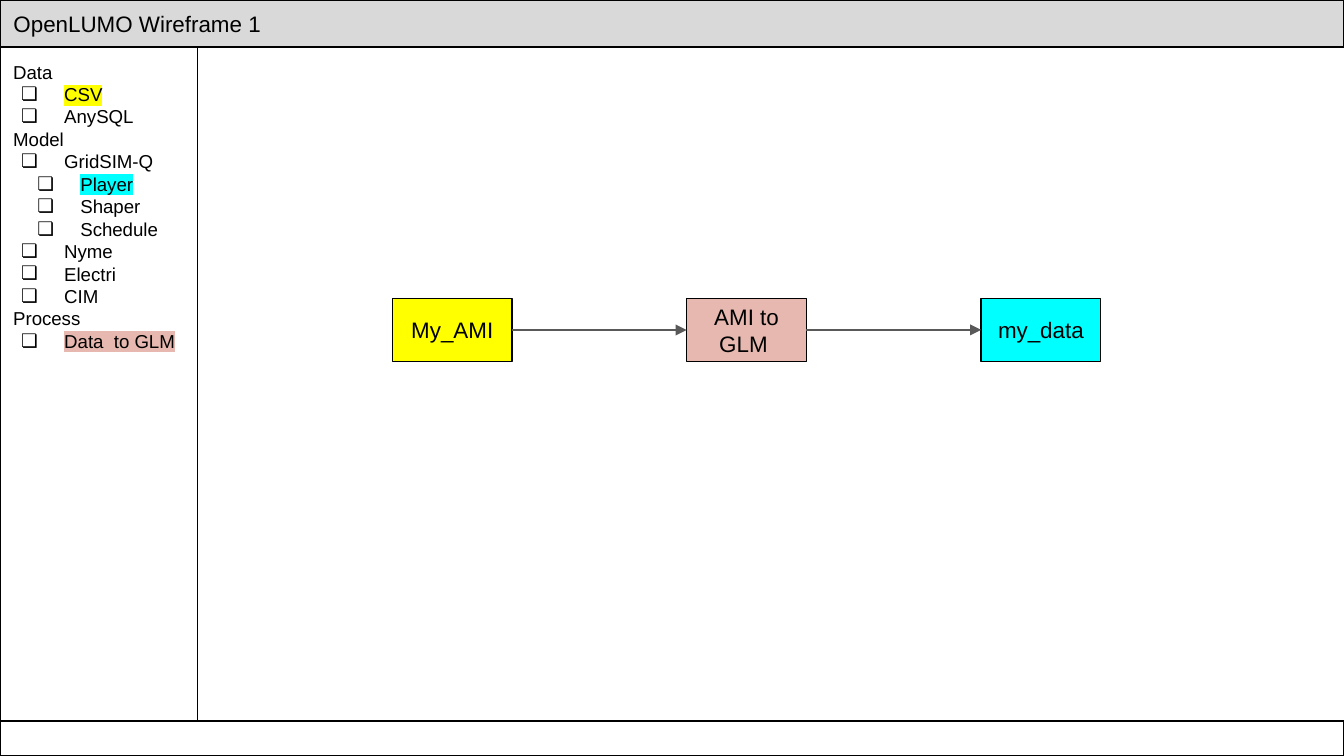
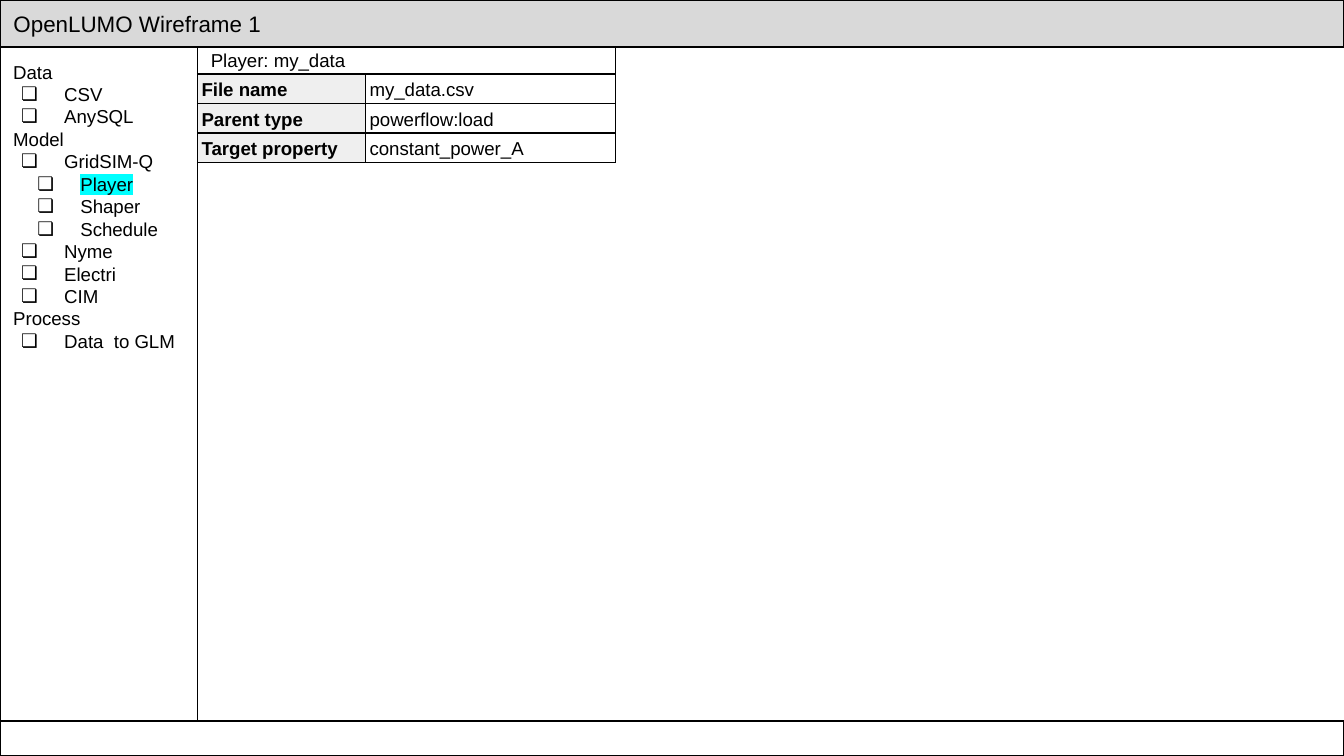
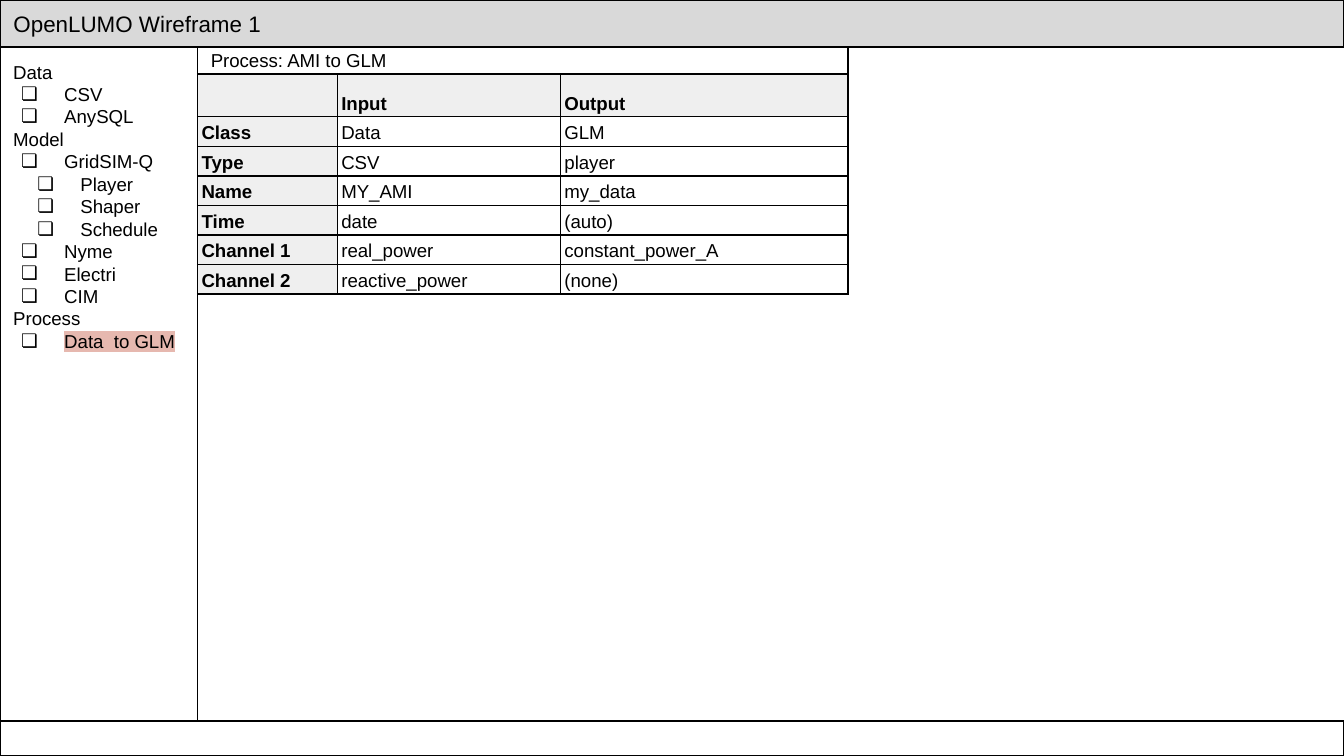
from pptx import Presentation
from pptx.dml.color import RGBColor
from pptx.enum.shapes import MSO_CONNECTOR, MSO_SHAPE
from pptx.enum.text import MSO_ANCHOR, MSO_AUTO_SIZE, PP_ALIGN
from pptx.oxml.ns import qn
from pptx.util import Inches, Pt
from lxml.etree import SubElement

FONT = "Arial"
COLORS = {
    "ink": "000000", "band": "D9D9D9", "label": "EFEFEF", "arrow": "595959",
    "data": "FFFF00", "model": "00FFFF", "process": "E6B8AF",
}
LINE = Pt(0.75)

TITLE = "OpenLUMO Wireframe 1"
# (depth, text); depth 0 is a heading
MENU = [
    (0, "Data"), (1, "CSV"), (1, "AnySQL"),
    (0, "Model"), (1, "GridSIM-Q"),
    (2, "Player"), (2, "Shaper"), (2, "Schedule"),
    (1, "Nyme"), (1, "Electri"), (1, "CIM"),
    (0, "Process"), (1, "Data  to GLM"),
]
MENU_INDENTS = {1: 0.38, 2: 0.5}
HANGING = 0.32

FLOW = [("My_AMI", "data"), ("AMI to GLM ", "process"), ("my_data", "model")]
FLOW_LINKS = [MSO_CONNECTOR.ELBOW, MSO_CONNECTOR.STRAIGHT]

PLAYER_ROWS = [
    ("File name", "my_data.csv"),
    ("Parent type", "powerflow:load"),
    ("Target property", "constant_power_A"),
]
PROCESS_ROWS = [
    ("", "Input", "Output"),
    ("Class", "Data", "GLM"),
    ("Type", "CSV", "player"),
    ("Name", "MY_AMI", "my_data"),
    ("Time", "date", "(auto)"),
    ("Channel 1", "real_power", "constant_power_A"),
    ("Channel 2", "reactive_power", "(none)"),
]
PAGES = [
    {"marked": {"CSV": "data", "Player": "model", "Data  to GLM": "process"},
     "flow": FLOW},
    {"marked": {"Player": "model"},
     "panel": ("Player: my_data", PLAYER_ROWS, [1.25, 1.86], False)},
    {"marked": {"Data  to GLM": "process"},
     "panel": ("Process: AMI to GLM", PROCESS_ROWS, [1.04, 1.66, 2.14], True)},
]

WIDTH, HEIGHT = 10, 5.625
BAND, FOOTER, SIDEBAR, CAPTION = 0.35, 0.26, 1.47, 0.2
ROW, HEADER_ROW = 0.22, 0.32
FLOW_LEFT, FLOW_TOP, FLOW_STEP = 2.92, 2.22, 2.19
NODE_WIDTH, NODE_HEIGHT = 0.89, 0.47


def color(name):
    return RGBColor.from_string(COLORS[name])


def style_text(para, size, align=PP_ALIGN.LEFT, bold=False):
    para.alignment = align
    font = para.font
    font.name, font.size, font.bold = FONT, Pt(size), bold
    font.color.rgb = color("ink")


def style_box(box, fill=None, anchor=MSO_ANCHOR.MIDDLE):
    if fill:
        box.fill.solid()
        box.fill.fore_color.rgb = color(fill)
    else:
        box.fill.background()
    box.line.color.rgb = color("ink")
    box.line.width = LINE
    frame = box.text_frame
    frame.word_wrap = True
    frame.auto_size = MSO_AUTO_SIZE.NONE
    frame.vertical_anchor = anchor
    frame.margin_left = frame.margin_right = Inches(0.1)
    frame.margin_top = frame.margin_bottom = Inches(0.1)


def add_box(page, left, top, width, height, **style):
    box = page.shapes.add_shape(
        MSO_SHAPE.RECTANGLE, *map(Inches, (left, top, width, height)))
    box.shadow.inherit = False
    style_box(box, **style)
    return box


def add_bullet(para, depth):
    para.level = depth - 1
    props = para._p.get_or_add_pPr()
    props.set("marL", str(Inches(MENU_INDENTS[depth])))
    props.set("indent", str(-Inches(HANGING)))
    bullet_color = SubElement(props, qn("a:buClr"))
    SubElement(bullet_color, qn("a:srgbClr"), val=COLORS["ink"])
    SubElement(props, qn("a:buFont"), typeface=FONT)
    SubElement(props, qn("a:buChar"), char="❏")


def add_menu(page, marked):
    box = add_box(page, 0, BAND, SIDEBAR, HEIGHT - BAND - FOOTER,
                  anchor=MSO_ANCHOR.TOP)
    frame = box.text_frame
    for index, (depth, text) in enumerate(MENU):
        para = frame.add_paragraph() if index else frame.paragraphs[0]
        if depth:
            add_bullet(para, depth)
        style_text(para, 10)
        span = para.add_run()
        span.text = text
        if text in marked:
            highlight = SubElement(span._r.get_or_add_rPr(), qn("a:highlight"))
            SubElement(highlight, qn("a:srgbClr"), val=COLORS[marked[text]])


def add_frame(page, marked):
    """Draw the title band, menu and footer that every page shares."""
    title = page.shapes.title
    title.left, title.top = 0, 0
    title.width, title.height = Inches(WIDTH), Inches(BAND)
    style_box(title, fill="band")
    title.text_frame.text = TITLE
    style_text(title.text_frame.paragraphs[0], 12)
    add_menu(page, marked)
    add_box(page, 0, HEIGHT - FOOTER, WIDTH, FOOTER)


def add_arrow(page, kind, start, end):
    arrow = page.shapes.add_connector(kind, 0, 0, 0, 0)
    arrow.begin_connect(start, 3)
    arrow.end_connect(end, 1)
    arrow.line.color.rgb = color("arrow")
    arrow.line.width = LINE
    SubElement(arrow.line._get_or_add_ln(), qn("a:tailEnd"), type="triangle")
    SubElement(arrow._element.spPr, qn("a:effectLst"))


def add_flow(page, steps):
    nodes = []
    for index, (text, fill) in enumerate(steps):
        node = add_box(page, FLOW_LEFT + index * FLOW_STEP, FLOW_TOP,
                       NODE_WIDTH, NODE_HEIGHT, fill=fill)
        node.text_frame.text = text
        style_text(node.text_frame.paragraphs[0], 12, PP_ALIGN.CENTER)
        nodes.append(node)
    for kind, start, end in zip(FLOW_LINKS, nodes, nodes[1:]):
        add_arrow(page, kind, start, end)


def add_borders(cell):
    props = cell._tc.get_or_add_tcPr()
    for side in ("lnL", "lnR", "lnT", "lnB"):
        edge = SubElement(props, qn(f"a:{side}"), w=str(LINE))
        fill = SubElement(edge, qn("a:solidFill"))
        SubElement(fill, qn("a:srgbClr"), val=COLORS["ink"])


def fill_cell(cell, text, is_label):
    add_borders(cell)
    if is_label:
        cell.fill.solid()
        cell.fill.fore_color.rgb = color("label")
    else:
        cell.fill.background()
    cell.vertical_anchor = MSO_ANCHOR.BOTTOM
    cell.margin_left = cell.margin_right = Inches(0.03)
    cell.margin_top = cell.margin_bottom = Inches(0.02)
    cell.text = text
    para = cell.text_frame.paragraphs[0]
    para.line_spacing = 1.15
    style_text(para, 10, bold=is_label)


def add_panel(page, caption, rows, widths, has_header):
    heights = [ROW] * len(rows)
    if has_header:
        heights[0] = HEADER_ROW
    table = page.shapes.add_table(
        len(rows), len(widths), Inches(SIDEBAR), Inches(BAND + CAPTION),
        Inches(sum(widths)), Inches(sum(heights))).table
    table.first_row = table.horz_banding = False
    for column, width in zip(table.columns, widths):
        column.width = Inches(width)
    for row, height in zip(table.rows, heights):
        row.height = Inches(height)
    for r, texts in enumerate(rows):
        for c, text in enumerate(texts):
            fill_cell(table.cell(r, c), text, c == 0 or (has_header and r == 0))

    box = add_box(page, SIDEBAR, BAND, sum(widths), CAPTION)
    box.text_frame.text = caption
    style_text(box.text_frame.paragraphs[0], 10)


def main():
    deck = Presentation()
    deck.slide_width, deck.slide_height = Inches(WIDTH), Inches(HEIGHT)
    title_only = deck.slide_layouts[5]
    for content in PAGES:
        page = deck.slides.add_slide(title_only)
        add_frame(page, content["marked"])
        if "flow" in content:
            add_flow(page, content["flow"])
        if "panel" in content:
            add_panel(page, *content["panel"])
    deck.save("out.pptx")


if __name__ == "__main__":
    main()
